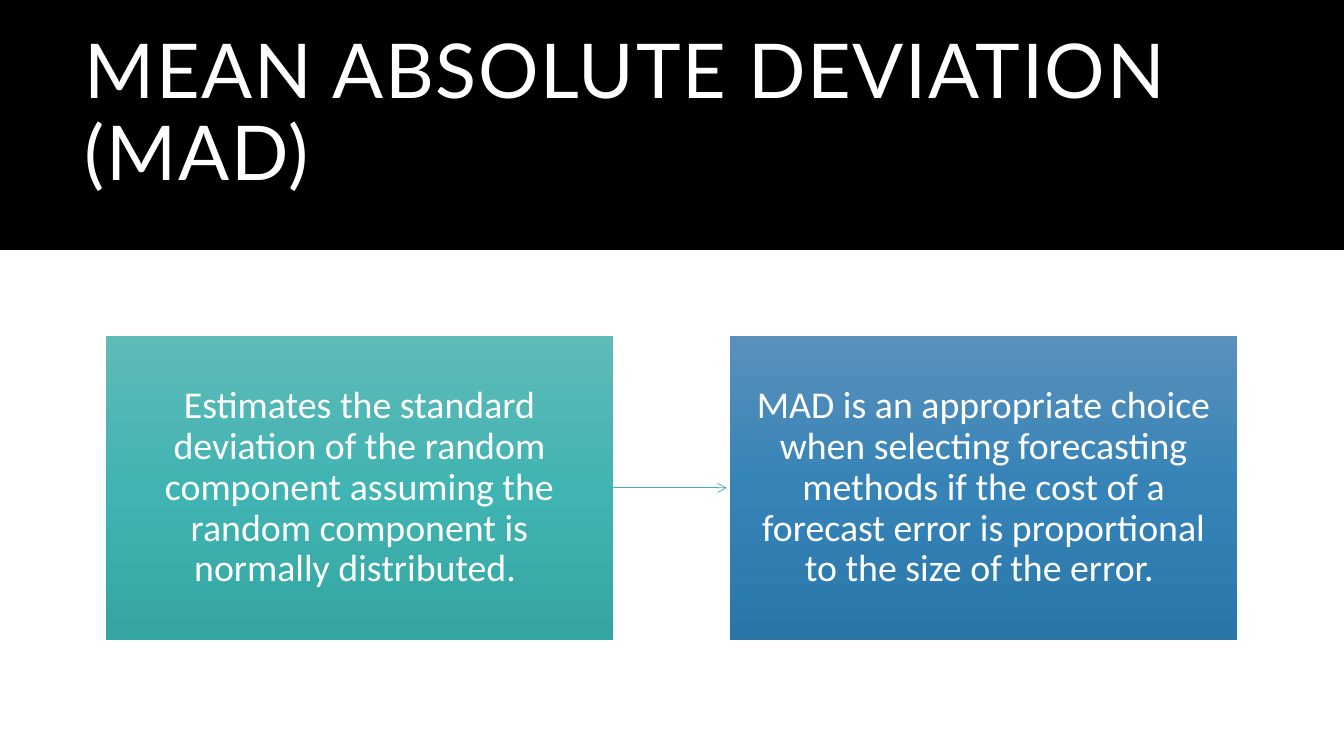
from copy import deepcopy

from lxml import etree
from pptx import Presentation
from pptx.dml.color import RGBColor
from pptx.enum.shapes import MSO_CONNECTOR, MSO_SHAPE
from pptx.enum.text import MSO_ANCHOR, MSO_AUTO_SIZE, PP_ALIGN
from pptx.oxml.ns import qn
from pptx.util import Inches, Pt

WHITE = RGBColor(0xFF, 0xFF, 0xFF)
BLACK = RGBColor(0x00, 0x00, 0x00)
LINE = RGBColor(0x45, 0xAF, 0xAD)
TEAL = (RGBColor(0x60, 0xBA, 0xB8), RGBColor(0x40, 0xB4, 0xB2), RGBColor(0x34, 0xA5, 0xA3))
BLUE = (RGBColor(0x5A, 0x90, 0xBC), RGBColor(0x35, 0x83, 0xB7), RGBColor(0x2A, 0x76, 0xA8))

RECT = MSO_SHAPE.RECTANGLE
STRAIGHT = MSO_CONNECTOR.STRAIGHT
MIDDLE, BOTTOM = MSO_ANCHOR.MIDDLE, MSO_ANCHOR.BOTTOM
LEFT, CENTER = PP_ALIGN.LEFT, PP_ALIGN.CENTER
NO_FIT = MSO_AUTO_SIZE.NONE


class Deck:
    head_font, body_font = "Lato", "Calibri"
    head_size, body_size = Pt(54), Pt(27)

    def __init__(self, show):
        self.slide = show.slides.add_slide(show.slide_layouts[5])
        self.shapes = self.slide.shapes
        back = self.slide.background.fill
        back.solid()
        back.fore_color.rgb = WHITE

    def rect(self, x, y, w, h):
        shape = self.shapes.add_shape(RECT, Inches(x), Inches(y), Inches(w), Inches(h))
        shape.shadow.inherit = False
        shape.line.fill.background()
        return shape

    def band(self, x, y, w, h, color):
        fill = self.rect(x, y, w, h).fill
        fill.solid()
        fill.fore_color.rgb = color

    def label(self, shape, text, font, size, align, anchor, pads):
        frame = shape.text_frame
        frame.word_wrap = True
        frame.auto_size = NO_FIT
        frame.vertical_anchor = anchor
        (frame.margin_left, frame.margin_top,
         frame.margin_right, frame.margin_bottom) = map(Inches, pads)
        para = frame.paragraphs[0]
        para.alignment = align
        para.line_spacing = 0.9
        run = para.add_run()
        run.text = text
        run.font.name = font
        run.font.size = size
        run.font.color.rgb = WHITE
        return run

    def title(self, x, y, w, h, text):
        shape = self.shapes.title
        shape.left, shape.top, shape.width, shape.height = map(Inches, (x, y, w, h))
        run = self.label(shape, text, self.head_font, self.head_size,
                         LEFT, BOTTOM, (0.1, 0, 0.1, 0.54))
        run._r.get_or_add_rPr().set("spc", "120")
        # Bring the title in front of the band
        tree = shape._element.getparent()
        tree.append(shape._element)

    def card(self, x, y, w, h, text, shades):
        shape = self.rect(x, y, w, h)
        fill = shape.fill
        fill.gradient()
        fill.gradient_angle = 270
        # The default gradient has two stops: add the middle one
        first = shape._element.spPr.find(".//" + qn("a:gs"))
        first.addnext(deepcopy(first))
        for stop, place, color in zip(fill.gradient_stops, (0, 0.5, 1), shades):
            stop.position = place
            stop.color.rgb = color
        self.label(shape, text, self.body_font, self.body_size,
                   CENTER, MIDDLE, (0.25, 0.26, 0.25, 0.26))
        return shape

    def arrow(self, start, x, y):
        link = self.shapes.add_connector(STRAIGHT, start.left + start.width, Inches(y),
                                         Inches(x), Inches(y))
        link.begin_connect(start, 3)
        link.line.color.rgb = LINE
        link.line.width = Pt(0.5)
        props = link._element.spPr
        etree.SubElement(props.find(qn("a:ln")), qn("a:tailEnd"), type="arrow")
        etree.SubElement(props, qn("a:effectLst"))


def main():
    show = Presentation()
    show.slide_width, show.slide_height = Inches(13.33), Inches(7.5)
    deck = Deck(show)

    # Header
    deck.band(0, 0, 13.33, 2.48, BLACK)
    deck.title(0.74, 0.63, 11.23, 1.86, "MEAN ABSOLUTE DEVIATION (MAD) ")

    # Two cards, the first leading to the second
    top, wide, high = 3.33, 5.03, 3.02
    first = deck.card(1.05, top, wide, high,
                      "Estimates the standard deviation of the random component assuming "
                      "the random component is normally distributed. ", TEAL)
    deck.card(7.24, top, wide, high,
              "MAD is an appropriate choice when selecting forecasting methods if the cost "
              "of a forecast error is proportional to the size of the error. ", BLUE)
    deck.arrow(first, 7.21, top + high / 2)

    show.save("out.pptx")


if __name__ == "__main__":
    main()
